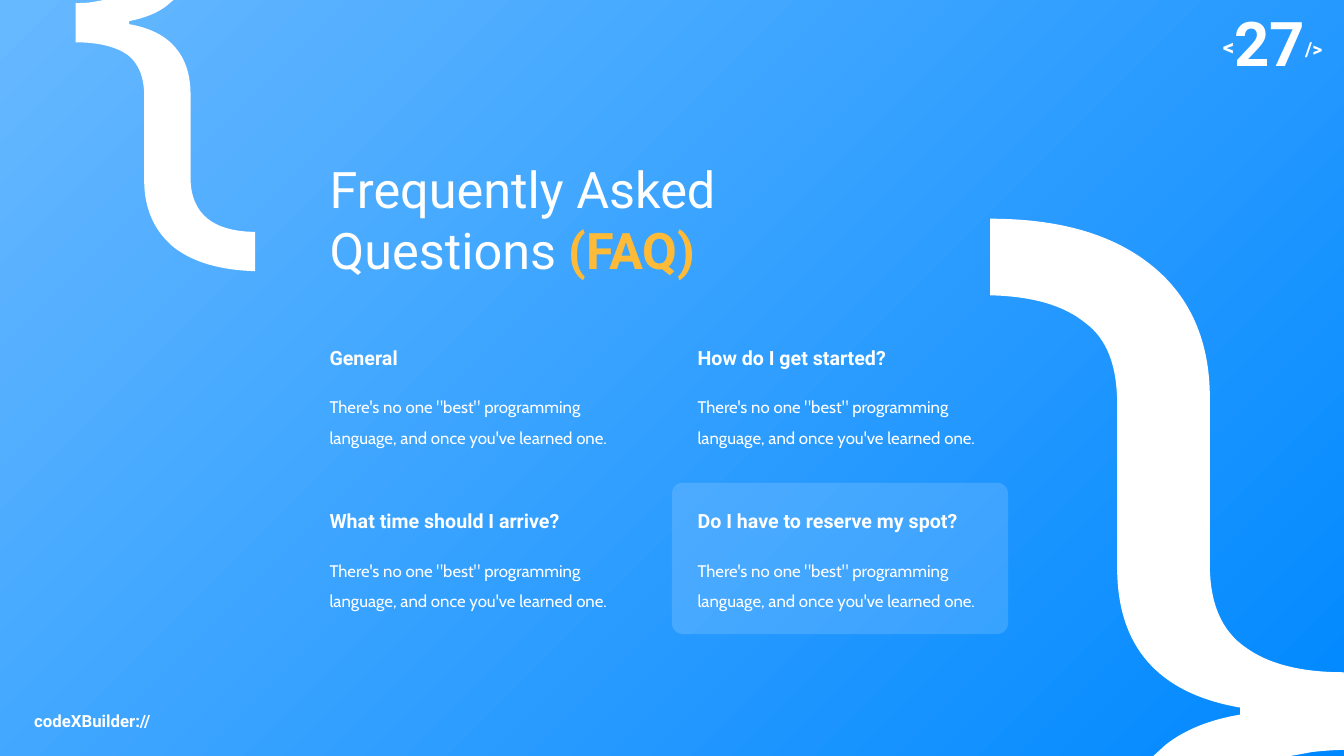
"""Build the FAQ slide: two large braces, a title and a two-by-two grid of questions."""
from lxml.etree import SubElement
from pptx import Presentation
from pptx.dml.color import RGBColor
from pptx.enum.shapes import MSO_SHAPE
from pptx.enum.text import MSO_ANCHOR, MSO_AUTO_SIZE, PP_ALIGN
from pptx.oxml.ns import qn
from pptx.util import Inches, Pt

COLORS = {"white": "FFFFFF", "accent": "FFBB37", "deep": "0088FF", "sky": "66B8FF"}
W, H = 13.33, 7.5
LEFT, TOP = 3.17, 3.31
COL, ROW = 3.65, 1.62


def add_run(p, text, size, font="Roboto", bold=False, color="white", baseline=0):
    r = p.add_run()
    r.text = text
    r.font.size, r.font.name, r.font.bold = Pt(size), font, bold
    r.font.color.rgb = RGBColor.from_string(COLORS[color])
    if baseline:
        r.font._element.set("baseline", str(baseline * 1000))


def add_box(s, x, y, w, h, wrap=True):
    tf = s.shapes.add_textbox(Inches(x), Inches(y), Inches(w), Inches(h)).text_frame
    tf.word_wrap = wrap
    tf.auto_size = MSO_AUTO_SIZE.SHAPE_TO_FIT_TEXT
    return tf


prs = Presentation()
prs.slide_width, prs.slide_height = Inches(W), Inches(H)
s = prs.slides.add_slide(prs.slide_layouts[5])

fill = s.background.fill
fill.gradient()
for stop, name, position in zip(fill.gradient_stops, ("deep", "sky"), (0, 0.99)):
    stop.color.rgb = RGBColor.from_string(COLORS[name])
    stop.position = position
grad = s._element.find(".//" + qn("a:gradFill"))
grad.remove(grad.find(qn("a:lin")))
radial = SubElement(grad, qn("a:path"), path="circle")
SubElement(radial, qn("a:fillToRect"), l="100000", t="100000")

tf = add_box(s, W * 0.8, 0, 2.55, 0.84)
tf.vertical_anchor = MSO_ANCHOR.MIDDLE
p = tf.paragraphs[0]
p.alignment = PP_ALIGN.RIGHT
for text, size, baseline in (("<", 28, 30), ("27", 44, 0), ("/>", 24, 30)):
    add_run(p, text, size, bold=True, baseline=baseline)

tf = add_box(s, 0.24, 7, 1.48, 0.3, wrap=False)
add_run(tf.paragraphs[0], "codeXBuilder://", 12, bold=True)

card = s.shapes.add_shape(MSO_SHAPE.ROUNDED_RECTANGLE, Inches(W / 2), Inches(4.79),
                          Inches(W / 4), Inches(H / 5))
card.adjustments[0] = 0.07
card.shadow.inherit = False
card.line.fill.background()
card.fill.solid()
card.fill.fore_color.rgb = RGBColor.from_string(COLORS["white"])
SubElement(card._element.spPr.find(".//" + qn("a:srgbClr")), qn("a:alpha"), val="15000")

right_brace = [
    (12.8, 7.5), (11.44, 7.5), (11.56, 7.39), (11.75, 7.24, 12, 7.14, 12.3, 7.09),
    (12.3, 7.02), (11.49, 6.88, 11.08, 6.42, 11.08, 5.63), (11.08, 4.01),
    (11.08, 3.63, 10.98, 3.36, 10.76, 3.2), (10.55, 3.03, 10.24, 2.94, 9.82, 2.93),
    (9.82, 2.17), (10.52, 2.17, 11.05, 2.33, 11.43, 2.64),
    (11.81, 2.95, 12, 3.39, 12, 3.95), (12, 5.61), (12, 5.99, 12.12, 6.26, 12.35, 6.42),
    (12.58, 6.59, 12.91, 6.67, W, 6.67), (W, 7.44), (13.23, 7.44, 13.12, 7.45, 13.02, 7.46)]
left_brace = [
    (1.03, 0), (1.72, 0), (1.65, 0.06), (1.56, 0.13, 1.43, 0.18, 1.28, 0.21),
    (1.28, 0.24), (1.69, 0.31, 1.89, 0.55, 1.89, 0.94), (1.89, 1.76),
    (1.89, 1.95, 1.95, 2.08, 2.06, 2.17), (2.16, 2.25, 2.32, 2.3, 2.53, 2.3),
    (2.53, 2.69), (2.18, 2.68, 1.91, 2.6, 1.72, 2.45),
    (1.53, 2.29, 1.43, 2.07, 1.43, 1.79), (1.43, 0.95),
    (1.43, 0.76, 1.37, 0.62, 1.26, 0.54), (1.14, 0.46, 0.97, 0.42, 0.75, 0.42),
    (0.75, 0.03), (0.81, 0.03, 0.87, 0.03, 0.92, 0.02)]
for segments in (right_brace, left_brace):
    ends = [(Inches(seg[-2]), Inches(seg[-1])) for seg in segments]
    builder = s.shapes.build_freeform(*ends[0])
    builder.add_line_segments(ends[1:], close=True)
    sp = builder.convert_to_shape()
    sp.shadow.inherit = False
    sp.line.fill.background()
    sp.fill.solid()
    sp.fill.fore_color.rgb = RGBColor.from_string(COLORS["white"])
    lines = list(sp._element.iter(qn("a:lnTo")))
    for line, seg in zip(lines, segments[1:]):
        if len(seg) == 6:
            curve = SubElement(line.getparent(), qn("a:cubicBezTo"))
            for x, y in zip(seg[::2], seg[1::2]):
                SubElement(curve, qn("a:pt"), x=str(Inches(x) - sp.left),
                           y=str(Inches(y) - sp.top))
            line.getparent().replace(line, curve)

title = s.shapes.title
title.left, title.top, title.width, title.height = (Inches(v) for v in (LEFT, 1.52, 5.59, 1.31))
tf = title.text_frame
tf.word_wrap = True
tf.auto_size = MSO_AUTO_SIZE.SHAPE_TO_FIT_TEXT
tf.vertical_anchor = MSO_ANCHOR.TOP
p = tf.paragraphs[0]
p.alignment = PP_ALIGN.LEFT
add_run(p, "Frequently Asked Questions ", 36)
add_run(p, "(FAQ)", 36, bold=True, color="accent")

questions = [("General", 1.57), ("How do I get started?", 2.4),
             ("What time should I arrive?", 2.88), ("Do I have to reserve my spot?", 3)]
answer = "There's no one \"best\" programming language, and once you've learned one."
for i, (question, width) in enumerate(questions):
    x, y = LEFT + i % 2 * COL, TOP + i // 2 * ROW
    p = add_box(s, x, y, width, 0.37).paragraphs[0]
    p.line_spacing = 1.3
    add_run(p, question, 14, bold=True)
    p = add_box(s, x, y + 0.48, 3.05, 0.67).paragraphs[0]
    p.line_spacing = 1.5
    add_run(p, answer, 12, font="Cabin")

prs.save("out.pptx")
